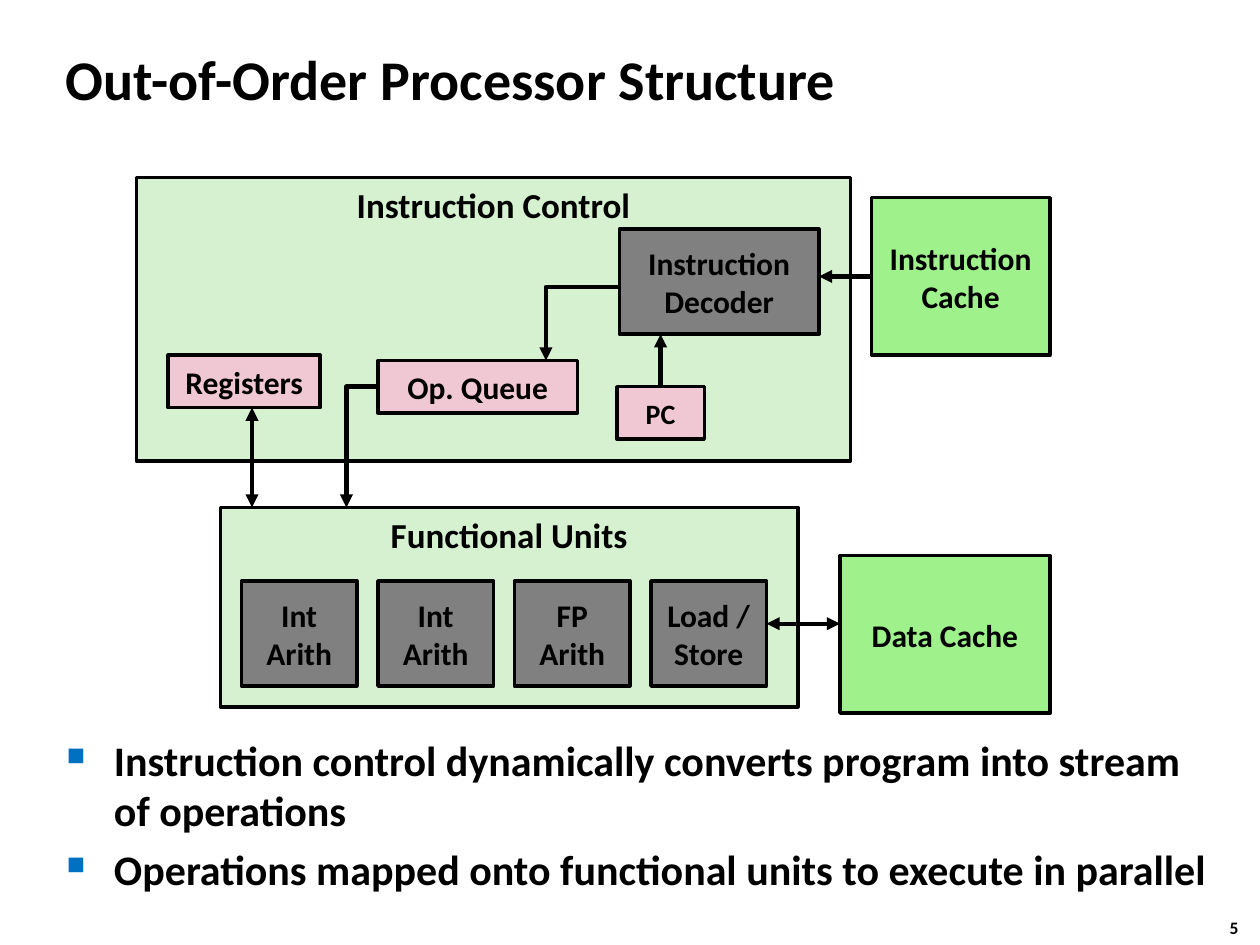
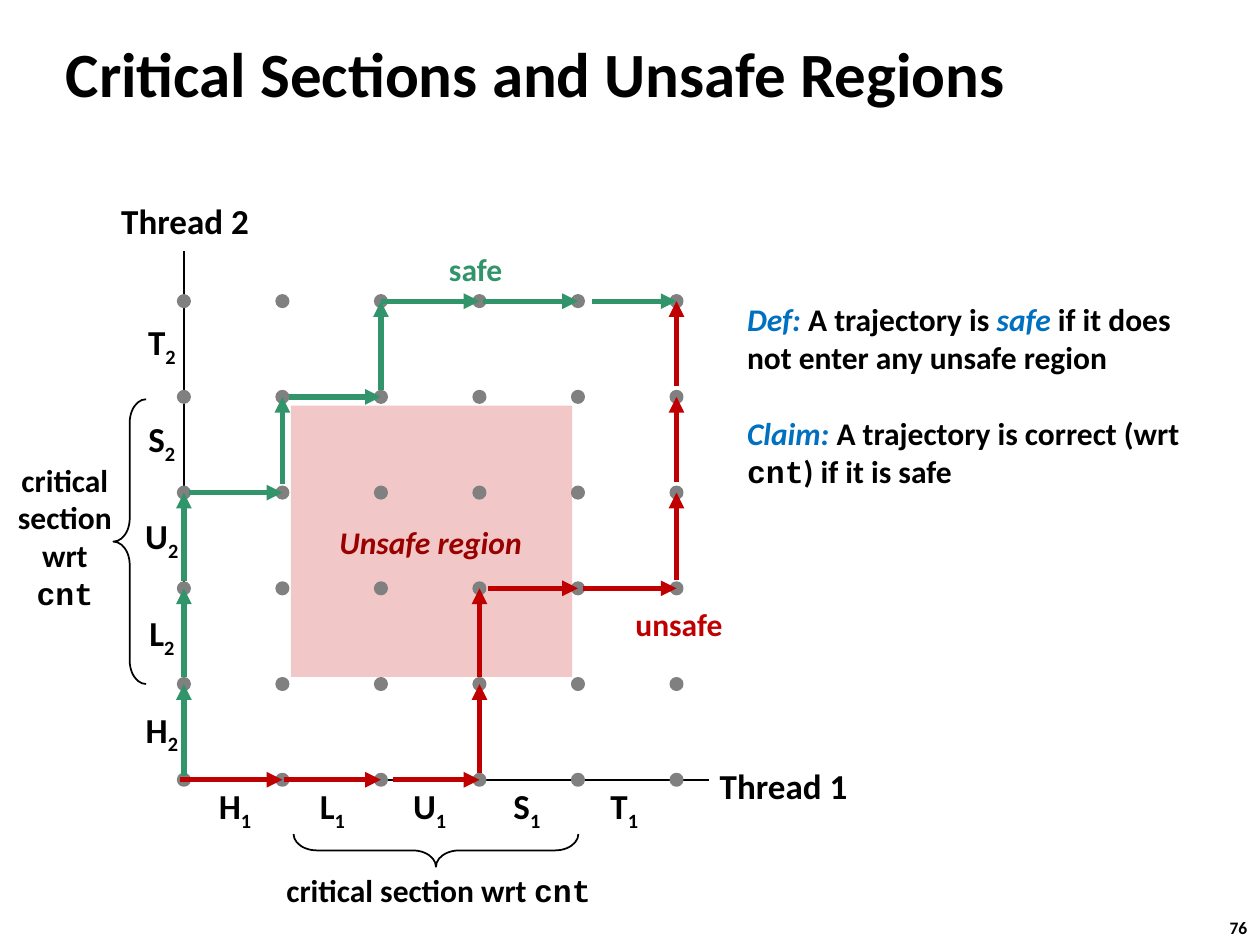
from lxml.etree import SubElement
from pptx import Presentation
from pptx.dml.color import RGBColor
from pptx.enum.shapes import MSO_CONNECTOR as Link, MSO_SHAPE as Preset
from pptx.enum.text import MSO_ANCHOR as Anchor, PP_ALIGN as Align
from pptx.oxml.ns import qn
from pptx.util import Pt

BLACK, GRAY, BLUE = "000000", "808080", "0070C0"
PALE_GREEN, GREEN, PINK = "D5F1CF", "9EF18B", "F0C8D3"
REGION, REGION_TEXT = "F1C7C7", "990000"
UNSAFE, SAFE = "C00000", "32946A"
TOP, LEFT = 0, 1
CODE = {"name": "Courier New"}
TERM = {"italic": True, "color": BLUE}
BASE_FONT = {"name": "Calibri", "bold": True, "color": BLACK}

GRID_LEFT, GRID_BOTTOM = 105.1, 445.6
STEP_X, STEP_Y = 56.3, 54.7
GRID_SIZE = 6


def color(hex_string):
    """Turn a hex string into a colour."""
    return RGBColor.from_string(hex_string)


def format_run(run, values):
    """Apply a dict of font values to a run."""
    for name, value in values.items():
        if name == "color":
            run.font.color.rgb = color(value)
        elif name == "baseline":
            run.font._element.set("baseline", str(value))
        elif name == "size":
            run.font.size = Pt(value)
        else:
            setattr(run.font, name, value)


def add_bullet(paragraph):
    """Give a paragraph a blue square bullet with a hanging indent."""
    properties = paragraph._p.get_or_add_pPr()
    properties.set("marL", str(Pt(27)))
    properties.set("indent", str(-Pt(27)))
    bullet_color = SubElement(properties, qn("a:buClr"))
    SubElement(bullet_color, qn("a:srgbClr"), val=BLUE)
    SubElement(properties, qn("a:buSzPct"), val="60000")
    SubElement(properties, qn("a:buChar"), char="■")


def write(shape, paragraphs, align=Align.LEFT, anchor=Anchor.MIDDLE, wrap=True,
          bullets=False, gap=0, **font):
    """Fill a shape with paragraphs, each a string or a list of runs."""
    frame = shape.text_frame
    frame.word_wrap = wrap
    frame.vertical_anchor = anchor
    for index, content in enumerate(paragraphs):
        paragraph = frame.add_paragraph() if index else frame.paragraphs[0]
        if index and gap:
            paragraph.space_before = Pt(gap)
        if bullets:
            add_bullet(paragraph)
        paragraph.alignment = align
        for text, extra in [(content, {})] if isinstance(content, str) else content:
            run = paragraph.add_run()
            run.text = text
            format_run(run, {**BASE_FONT, **font, **extra})


def add_text(slide, bounds, paragraphs, **options):
    """Add a text box."""
    shape = slide.shapes.add_textbox(*map(Pt, bounds))
    write(shape, paragraphs, **options)
    return shape


def add_label(slide, center_x, center_y, runs, size=18, width=80, **font):
    """Add one centred line of text around a point."""
    height = size * 1.2 + 7.2
    bounds = (center_x - width / 2, center_y - height / 2, width, height)
    add_text(slide, bounds, [runs], align=Align.CENTER, wrap=False, size=size, **font)


def add_preset(slide, preset, bounds, fill=None, line=None, width=2):
    """Add a preset shape without shadow."""
    shape = slide.shapes.add_shape(preset, *map(Pt, bounds))
    shape.shadow.inherit = False
    if fill:
        shape.fill.solid()
        shape.fill.fore_color.rgb = color(fill)
    else:
        shape.fill.background()
    if line:
        shape.line.color.rgb = color(line)
        shape.line.width = Pt(width)
    else:
        shape.line.fill.background()
    return shape


def add_box(slide, bounds, fill, paragraphs, size=18, anchor=Anchor.MIDDLE):
    """Add an outlined block with centred text."""
    shape = add_preset(slide, Preset.RECTANGLE, bounds, fill, BLACK)
    write(shape, paragraphs, align=Align.CENTER, anchor=anchor, size=size)
    return shape


def add_line(slide, start, end, line=BLACK, width=2.5, ends=("tailEnd",), elbow=False):
    """Add a line or a one-corner elbow with arrowheads at the given ends."""
    kind = Link.ELBOW if elbow else Link.STRAIGHT
    connector = slide.shapes.add_connector(kind, *map(Pt, (*start, *end)))
    connector.line.color.rgb = color(line)
    connector.line.width = Pt(width)
    properties = connector._element.spPr
    if elbow:
        properties.find(qn("a:prstGeom")).set("prst", "bentConnector2")
    for name in ends:
        SubElement(properties.find(qn("a:ln")), qn(f"a:{name}"), type="triangle")
    SubElement(properties, qn("a:effectLst"))
    return connector


def add_slide(presentation, title, number, top, size):
    """Add a blank slide with its title and page number."""
    slide = presentation.slides.add_slide(presentation.slide_layouts[6])
    add_text(slide, (695.5, 520.6, 27, 19.4), [number], size=10, anchor=Anchor.TOP)
    add_text(slide, (30.5, top, 680, 60), [title], size=size)
    return slide


def build_processor(presentation):
    """Build the block diagram of the processor."""
    slide = add_slide(presentation, "Out-of-Order Processor Structure", "5", 14.4, 32)
    add_text(slide, (31, 416, 671, 96.5), [
        "Instruction control dynamically converts program into stream of operations",
        "Operations mapped onto functional units to execute in parallel",
    ], bullets=True, gap=4.8, size=24, anchor=Anchor.TOP)

    add_box(slide, (126, 290, 330, 114), PALE_GREEN, ["Functional Units"], 20, Anchor.TOP)
    units = [("Int", "Arith"), ("Int", "Arith"), ("FP", "Arith"), ("Load /", "Store")]
    for index, words in enumerate(units):
        add_box(slide, (138 + 78 * index, 332, 66, 60), GRAY, words)

    add_box(slide, (78, 101.5, 408, 162), PALE_GREEN, ["Instruction Control"], 20, Anchor.TOP)
    add_box(slide, (96, 203, 87, 30), PINK, ["Registers"])
    add_box(slide, (354, 131, 114, 60), GRAY, ["Instruction Decoder"])
    add_box(slide, (216, 206, 114, 30), PINK, ["Op. Queue"])
    counter = add_box(slide, (352.5, 221, 50, 30), PINK, ["PC"], 16)
    add_box(slide, (480, 317.5, 120, 90), GREEN, ["Data Cache"])
    cache = add_box(slide, (498, 113, 102, 90), GREEN, ["Instruction", "Cache"])

    both = ("headEnd", "tailEnd")
    add_line(slide, (480, 356.4), (438, 356.4), ends=both)
    add_line(slide, (144, 233), (144, 290), ends=both)
    add_line(slide, (216, 221), (198, 290), elbow=True)
    add_line(slide, (354, 164), (312, 206), elbow=True)
    add_line(slide, (498, 158), (468, 158)).begin_connect(cache, LEFT)
    add_line(slide, (377.5, 221), (377.5, 191)).begin_connect(counter, TOP)


def node(column, row):
    """Return the centre of a grid state."""
    return GRID_LEFT + STEP_X * column, GRID_BOTTOM - STEP_Y * row


def add_trajectory(slide, moves, gaps, line):
    """Draw arrows from the origin, R right and U up, each leaving its state by a gap."""
    column = row = 0
    for move, gap in zip(moves, gaps):
        right, up = (1, 0) if move == "R" else (0, 1)
        x, y = node(column, row)
        column, row = column + right, row + up
        add_line(slide, (x + gap * right, y - gap * up), node(column, row), line, 3)


def add_brace(slide, bounds, rotation=0):
    """Add a thin brace."""
    brace = add_preset(slide, Preset.LEFT_BRACE, bounds, line=BLACK, width=1)
    brace.adjustments[0] = 0.715
    brace.rotation = rotation


def build_progress_graph(presentation):
    """Build the progress graph with its two trajectories."""
    slide = add_slide(presentation, "Critical Sections and Unsafe Regions", "76", 11.5, 36)
    add_preset(slide, Preset.RECTANGLE, (166.3, 231.8, 160.6, 155), REGION)
    origin = node(0, 0)
    for end in [(405.4, GRID_BOTTOM), (GRID_LEFT, 143.3)]:
        add_line(slide, origin, end, width=1, ends=())
    for index, letter in enumerate("HLUST"):
        places = [(134.3 + 55.6 * index, 462.2), (92.5, 418.3 - 55.4 * index)]
        for thread, place in enumerate(places, start=1):
            runs = [(letter, {}), (str(thread), {"baseline": -25000})]
            add_label(slide, *place, runs, size=20, width=34)
    add_label(slide, 447.8, 448.6, "Thread 1", size=20, width=88)
    add_label(slide, 105.8, 126, "Thread 2", size=20, width=88)

    for column in range(GRID_SIZE):
        for row in range(GRID_SIZE):
            x, y = node(column, row)
            add_preset(slide, Preset.OVAL, (x - 3, y - 3, 6, 6), GRAY, GRAY)

    add_brace(slide, (64.8, 228.2, 18.7, 162.7))
    add_brace(slide, (239.8, 404.6, 18.7, 162.7), 270)
    critical = [("critical section wrt ", {}), ("cnt", CODE)]
    add_label(slide, 250.6, 508.3, critical, width=190)
    add_text(slide, (0, 259.2, 74.2, 94.3), [critical], align=Align.CENTER, size=18)
    add_label(slide, 246, 309.6, "Unsafe region", width=120, color=REGION_TEXT, italic=True)

    definition = add_text(slide, (419.8, 171.4, 275.8, 131), [
        [("Def: ", TERM), ("A trajectory is ", {}), ("safe ", TERM),
         ("if it does not enter any unsafe region", {})],
        [("Claim: ", TERM), ("A trajectory is correct (wrt ", {}), ("cnt", CODE),
         (") if it is safe", {})],
    ], gap=22, size=18, anchor=Anchor.TOP)
    definition.text_frame.margin_top = definition.text_frame.margin_bottom = 0

    add_trajectory(slide, "RRRUURRUUU", (-2, 1, 7, 4, 4, 5, 3, 5, 6, 6), UNSAFE)
    add_label(slide, 388, 356.4, "unsafe", color=UNSAFE)
    add_trajectory(slide, "UUURURURRR", (2, 4, 4, 3, 5, 4, 4, 0, 2, 8), SAFE)
    add_label(slide, 271.8, 153.4, "safe", color=SAFE)


def main():
    """Build and save both slides."""
    presentation = Presentation()
    presentation.slide_width, presentation.slide_height = Pt(720), Pt(540)
    build_processor(presentation)
    build_progress_graph(presentation)
    presentation.save("out.pptx")


if __name__ == "__main__":
    main()
